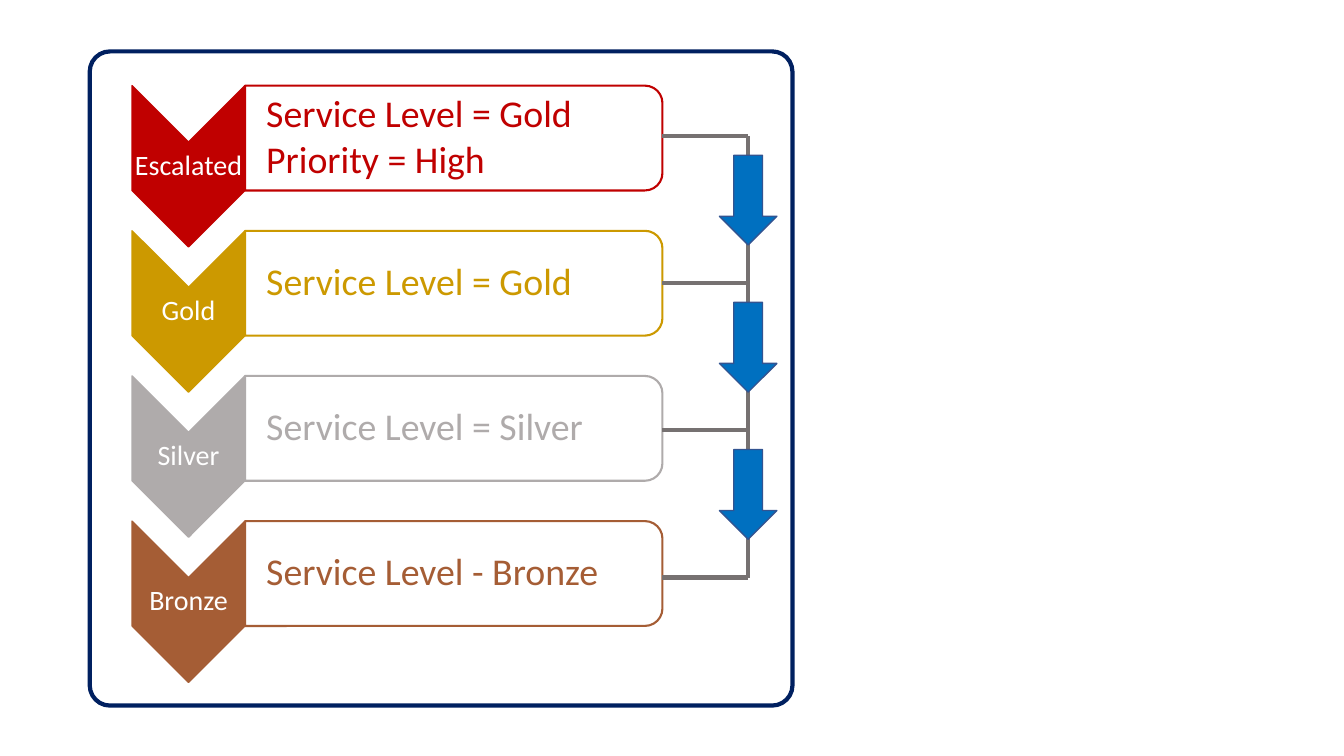
from lxml.etree import SubElement as Sub
from pptx import Presentation
from pptx.dml.color import RGBColor as RGB
from pptx.enum.shapes import MSO_CONNECTOR as Conn, MSO_SHAPE as Form
from pptx.enum.text import MSO_ANCHOR as Anchor, PP_ALIGN as Align
from pptx.oxml.ns import qn
from pptx.util import Inches, Pt


def paint(part, color):
    """Give a fill or a line's fill one solid hex colour."""
    part.solid()
    part.fore_color.rgb = RGB.from_string(color)


def apply(item, values):
    for name, value in values.items():
        setattr(item, name, value)


class Board:
    cell = 0.1  # inches in one column or row
    face = "Calibri"

    def __init__(self, slide):
        self.slide = slide

    def grid(self, *spans):
        return [Inches(span * self.cell) for span in spans]

    def shape(self, form, box, fill, line, width, turn=False, adj=None, alpha=None):
        """Draw a shape in its visible box, turned a quarter if asked."""
        x, y, w, h = box
        if turn:
            x, y, w, h = x + (w - h) / 2, y + (h - w) / 2, h, w
        item = self.slide.shapes.add_shape(form, *self.grid(x, y, w, h))
        item.shadow.inherit = False
        item.rotation = 90 if turn else 0
        if adj is not None:
            item.adjustments[0] = adj
        paint(item.fill, fill)
        if alpha:
            tone = item.fill._xPr.find(f"{qn('a:solidFill')}/{qn('a:srgbClr')}")
            Sub(tone, qn("a:alpha"), val=str(alpha * 1000))
        paint(item.line.fill, line)
        item.line.width = Pt(width)

    def text(self, box, lines, size, color, pads, form, hang=0):
        frame = self.slide.shapes.add_textbox(*self.grid(*box)).text_frame
        sides = ("margin_left", "margin_top", "margin_right", "margin_bottom")
        apply(frame, dict(zip(sides, self.grid(*pads))))
        apply(frame, {"word_wrap": True, "vertical_anchor": Anchor.MIDDLE})
        for i, line in enumerate(lines):
            para = frame.paragraphs[0] if i == 0 else frame.add_paragraph()
            apply(para, {"line_spacing": 0.9, **form})
            if hang:
                inset, = self.grid(hang)
                props = para._p.get_or_add_pPr()
                props.set("marL", str(inset))
                props.set("indent", str(-inset))
            run = para.add_run()
            run.text = line
            apply(run.font, {"name": self.face, "size": Pt(size)})
            paint(run.font.fill, color)

    def line(self, x1, y1, x2, y2, color, width):
        item = self.slide.shapes.add_connector(
            Conn.STRAIGHT, *self.grid(x1, y1, x2, y2))
        paint(item.line.fill, color)
        item.line.width = Pt(width)
        Sub(item._element.spPr, qn("a:effectLst"))


deck = Presentation()
deck.slide_width, deck.slide_height = Inches(13.33), Inches(7.5)
board = Board(deck.slides.add_slide(deck.slide_layouts[6]))

# Frame
board.shape(Form.ROUNDED_RECTANGLE, (8.9, 5.1, 69.7, 64.9),
            "FFFFFF", "002060", 3, adj=0.031)

# Service levels: chevron with its name, bar with its rules
levels = [
    ("Escalated", "C00000", ["Service Level = Gold", "Priority = High"]),
    ("Gold", "CC9900", ["Service Level = Gold"]),
    ("Silver", "AFABAB", ["Service Level = Silver"]),
    ("Bronze", "A55D35", ["Service Level - Bronze"]),
]
left, mid, wide = 13.1, 24.3, 11.2
for n, (name, color, rules) in enumerate(levels):
    top = 8.5 + 14.4 * n
    board.shape(Form.CHEVRON, (left, top, wide, 16), color, color, 1, turn=True)
    board.text((left, top + 5.6, wide, 4.8), [name], 20, "FFFFFF",
               [0.1] * 4, {"alignment": Align.CENTER, "space_after": Pt(7)})
    board.shape(Form.ROUND_2_SAME_RECTANGLE, (mid, top, 41.4, 10.4),
                "FFFFFF", color, 1.5, turn=True, alpha=90)
    board.text((mid, top + 0.5, 40.9, 9.4), rules, 27, color,
               (2.1, 0.2, 0.2, 0.2), {"level": 1, "space_after": Pt(4)}, hang=2.5)

# Links from the bars to the spine
edge, spine, first, step = 65.7, 74.2, 13.5, 14.6
stops = [first + step * n for n in range(len(levels))]
for y in stops:
    board.line(edge, y, spine, y, "767171", 3)
for y in stops[:-1]:
    board.line(spine, y, spine, y + step, "767171", 3)

# Arrows down the spine
for y in stops[:-1]:
    board.shape(Form.RIGHT_ARROW, (spine - 2.85, y + 1.9, 5.7, 8.9),
                "0070C0", "325491", 1, turn=True)

deck.save("out.pptx")
